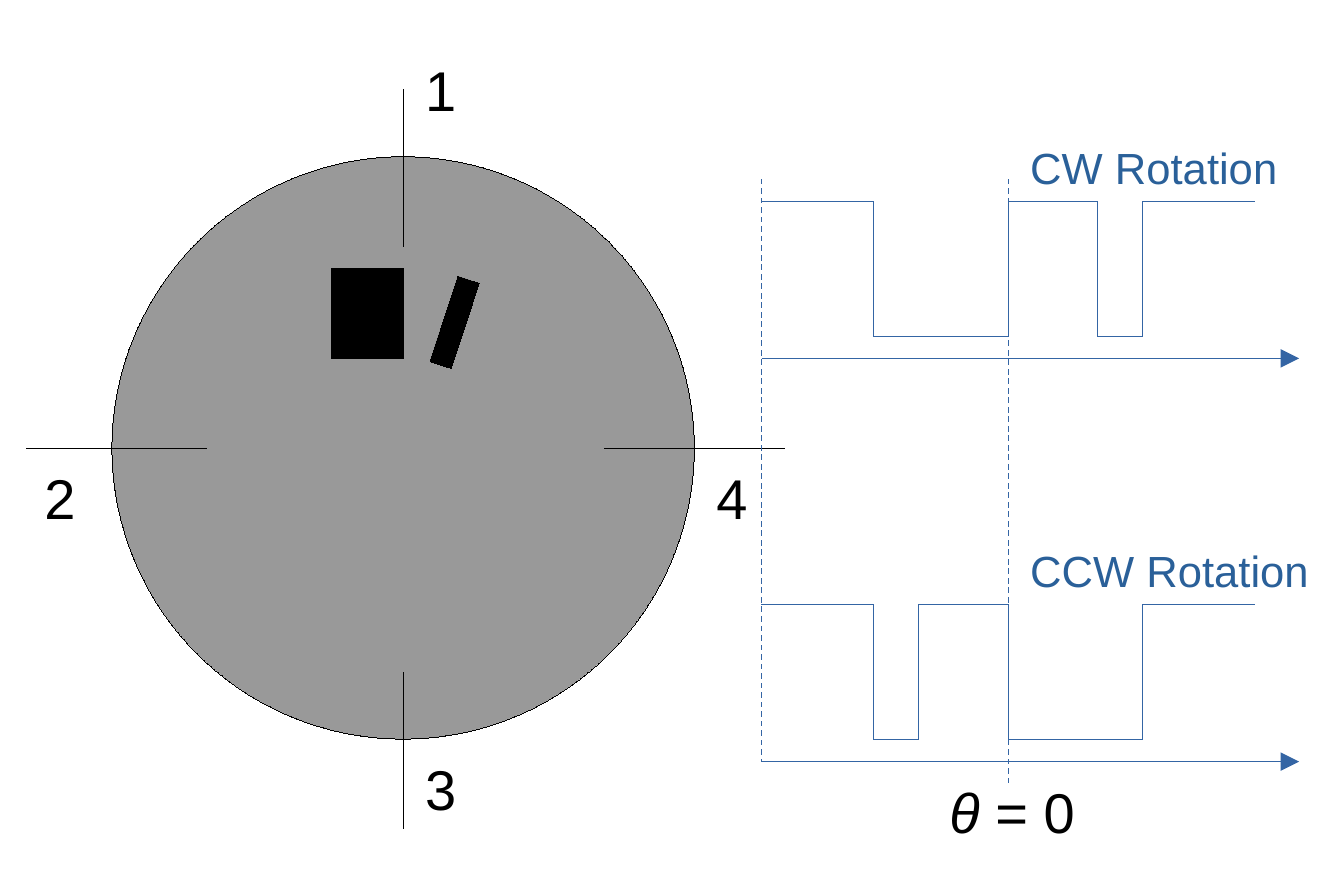
from dataclasses import dataclass
from itertools import pairwise

from lxml import etree
from pptx import Presentation, util as u
from pptx.dml.color import RGBColor
from pptx.enum import shapes, text
from pptx.oxml.ns import qn

COLS, ROWS = 60, 40
SLIDE_W, SLIDE_H = u.Inches(6), u.Inches(4)


@dataclass(frozen=True)
class Theme:
    font: str = "Arial"
    ink: str = "000000"
    disc: str = "999999"
    signal: str = "3465A4"
    caption: str = "2A6099"
    label_size: int = 18
    caption_size: int = 14


@dataclass(frozen=True)
class Block:
    kind: shapes.MSO_SHAPE
    col: float
    row: float
    cols: float
    rows: float
    fill: str
    rotation: float = 0


@dataclass(frozen=True)
class Label:
    text: str
    col: float
    row: float
    cols: float = 3.4


@dataclass(frozen=True)
class Wave:
    """A square wave that starts high and toggles at each edge column."""
    caption: Label
    top: float
    edges: tuple[float, ...]


THEME = Theme()
START, ZERO, END, AXIS_END = 34, 45, 56, 58
AMPLITUDE, AXIS_DROP = 6, 7

BLOCKS = [
    Block(shapes.MSO_SHAPE.OVAL, 5, 7, 26, 26, THEME.disc),
    Block(shapes.MSO_SHAPE.RECTANGLE, 14.8, 12, 3.2, 4, THEME.ink),
    Block(shapes.MSO_SHAPE.RECTANGLE, 19.8, 12.4, 1, 4, THEME.ink, 18.2),
]
SENSOR_MARKS = [((18, 4), (18, 11)), ((1.2, 20), (9.2, 20)),
                ((18, 30), (18, 37)), ((27, 20), (35, 20))]
SENSOR_LABELS = [Label("1", 18, 2), Label("2", 1, 20.2),
                 Label("3", 18, 33.2), Label("4", 31, 20.2)]
WAVES = [
    Wave(Label("CW Rotation", ZERO, 5.8, 13.2), 9, (39, ZERO, 49, 51)),
    Wave(Label("CCW Rotation", ZERO, 23.8, 15.1), 27, (39, 41, ZERO, 51)),
]
GUIDES = [((START, 8), (START, 34)), ((ZERO, 8), (ZERO, 35))]


def x(cols: float) -> int:
    return round(SLIDE_W * cols / COLS)


def y(rows: float) -> int:
    return round(SLIDE_H * rows / ROWS)


def set_hairline(sp, color: str):
    """Give the outline an explicit zero width, which width = 0 would omit."""
    sp.line.color.rgb = RGBColor.from_string(color)
    ln = sp._element.spPr.find(qn("a:ln"))
    ln.set("w", "0")
    return ln


def draw_block(s, block: Block) -> None:
    sp = s.shapes.add_shape(block.kind, x(block.col), y(block.row),
                            x(block.cols), y(block.rows))
    sp.rotation = block.rotation
    sp.fill.solid()
    sp.fill.fore_color.rgb = RGBColor.from_string(block.fill)
    set_hairline(sp, THEME.ink)
    sp.shadow.inherit = False


def draw_line(s, start: tuple[float, float], end: tuple[float, float],
              color: str, *, dashed: bool = False, arrow: bool = False) -> None:
    line = s.shapes.add_connector(shapes.MSO_CONNECTOR.STRAIGHT,
                                  x(start[0]), y(start[1]), x(end[0]), y(end[1]))
    ln = set_hairline(line, color)
    if dashed:
        dash = etree.SubElement(ln, qn("a:custDash"))
        etree.SubElement(dash, qn("a:ds"), d="200000", sp="200000")
    if arrow:
        etree.SubElement(ln, qn("a:tailEnd"), type="triangle")
    etree.SubElement(line._element.spPr, qn("a:effectLst"))


def draw_text(s, label: Label, *, size: int = THEME.label_size,
              color: str = THEME.ink, italic_prefix: str = "") -> None:
    height = 3.8 if size == THEME.label_size else 3.2
    tf = s.shapes.add_textbox(x(label.col), y(label.row),
                              x(label.cols), y(height)).text_frame
    tf.word_wrap = False
    tf.auto_size = text.MSO_AUTO_SIZE.SHAPE_TO_FIT_TEXT
    p = tf.paragraphs[0]
    for content, italic in ((italic_prefix, True), (label.text, False)):
        if content:
            r = p.add_run()
            r.text = content
            r.font.name = THEME.font
            r.font.size = u.Pt(size)
            r.font.italic = italic
            r.font.color.rgb = RGBColor.from_string(color)


def draw_wave(s, wave: Wave) -> None:
    low = wave.top + AMPLITUDE
    points = [(START, wave.top)]
    for i, edge in enumerate(wave.edges):
        before, after = (wave.top, low) if i % 2 == 0 else (low, wave.top)
        points += [(edge, before), (edge, after)]
    points.append((END, wave.top))
    for start, end in pairwise(points):
        draw_line(s, start, end, THEME.signal)
    axis = wave.top + AXIS_DROP
    draw_line(s, (START, axis), (AXIS_END, axis), THEME.signal, arrow=True)
    draw_text(s, wave.caption, size=THEME.caption_size, color=THEME.caption)


def main() -> None:
    prs = Presentation()
    prs.slide_width, prs.slide_height = SLIDE_W, SLIDE_H
    s = prs.slides.add_slide(prs.slide_layouts[6])
    for block in BLOCKS:
        draw_block(s, block)
    for start, end in SENSOR_MARKS:
        draw_line(s, start, end, THEME.ink)
    for label in SENSOR_LABELS:
        draw_text(s, label)
    for wave in WAVES:
        draw_wave(s, wave)
    for start, end in GUIDES:
        draw_line(s, start, end, THEME.signal, dashed=True)
    draw_text(s, Label("= 0", 41.4, 34.2, 7.6), italic_prefix="θ ")
    prs.save("out.pptx")


if __name__ == "__main__":
    main()
